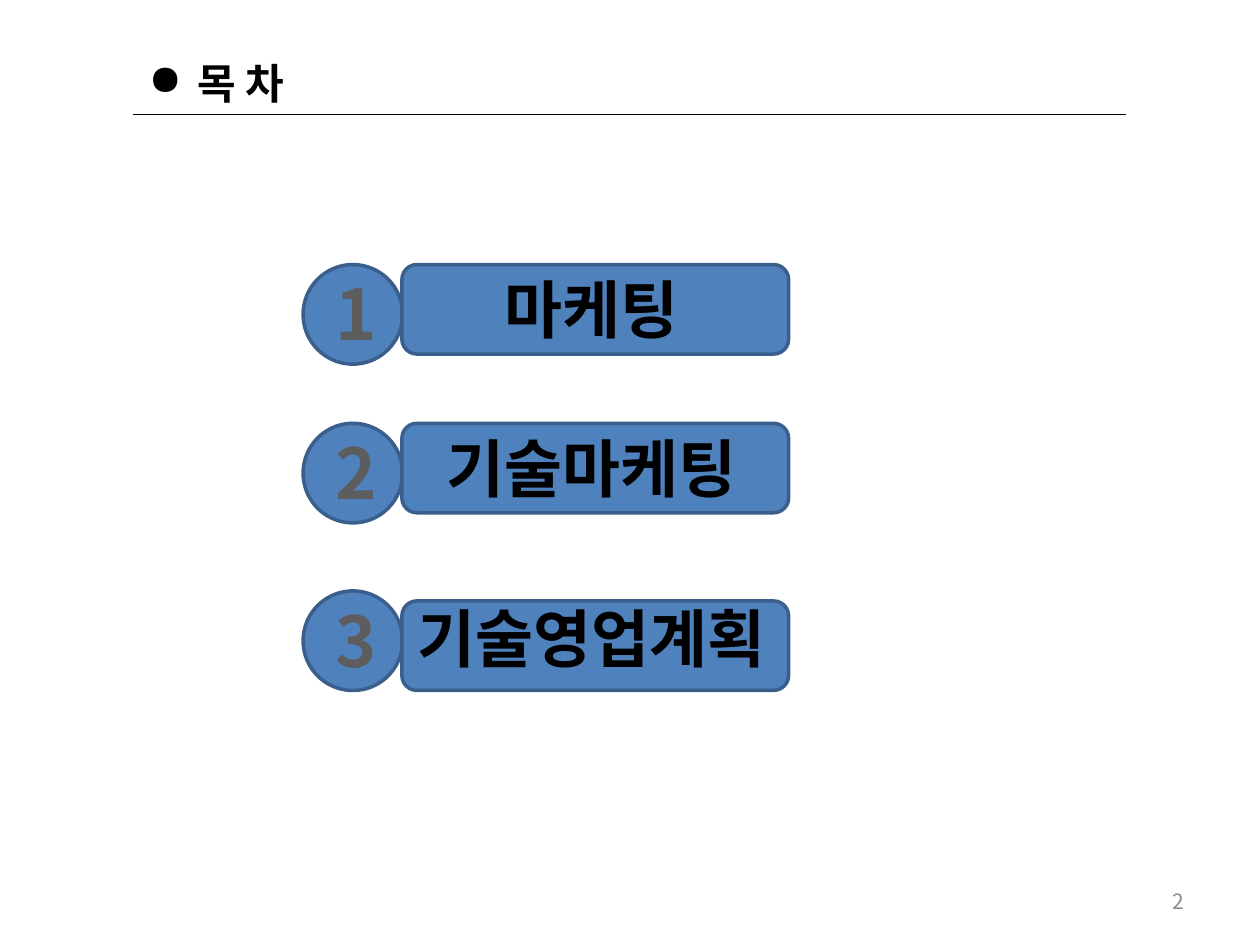
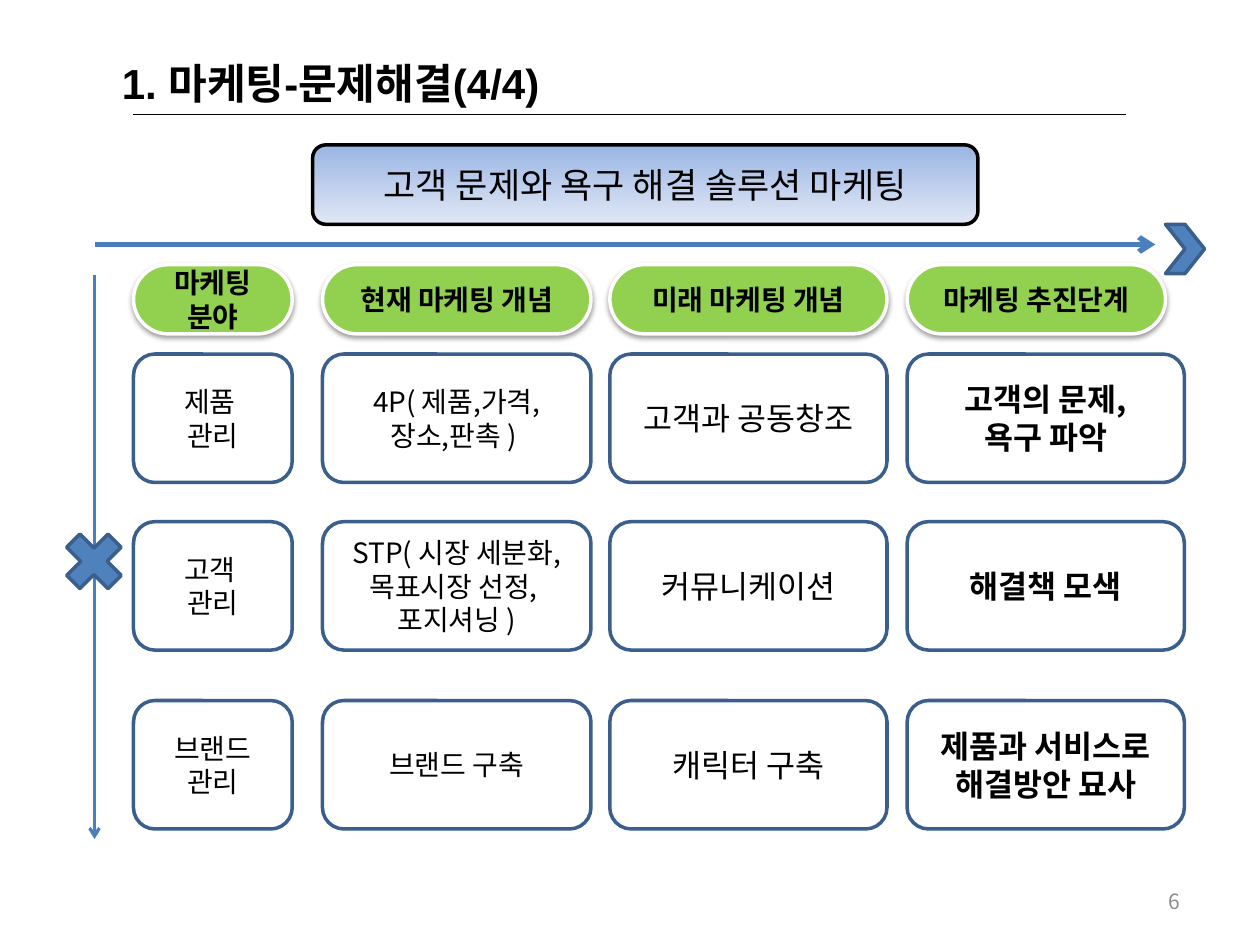
"""Build an agenda slide and a marketing problem-solving matrix slide."""
from dataclasses import dataclass

from lxml.etree import SubElement
from pptx import Presentation
from pptx.dml.color import RGBColor
from pptx.enum.shapes import MSO_CONNECTOR, MSO_SHAPE
from pptx.enum.text import MSO_ANCHOR, PP_ALIGN
from pptx.oxml.ns import qn
from pptx.util import Pt


@dataclass(frozen=True)
class Theme:
    body_font: str = "Noto Sans CJK KR"
    title_font: str = "Arial"
    black: str = "000000"
    white: str = "FFFFFF"
    blue: str = "4F81BD"
    edge: str = "3A5F8C"
    arrow: str = "4B7EBC"
    green: str = "92D050"
    numeral: str = "5D5D5D"
    page: str = "8C8C8C"
    banner: tuple = ("9AB5E4", "E1E8F5")
    page_size: int = 12
    cell_size: int = 16
    large_cell_size: int = 18
    banner_size: int = 20
    title_size: int = 24
    agenda_size: int = 36
    numeral_size: int = 40


THEME = Theme()

AGENDA_TITLE = "목 차"
AGENDA = [
    ("1", "마케팅", 151.2, 151.2, 151.2),
    ("2", "기술마케팅", 241.9, 241.9, 241.9),
    ("3", "기술영업계획", 337.7, 343.4, 339.1),
]

MATRIX_TITLE = "1. 마케팅-문제해결(4/4)"
BANNER = "고객 문제와 욕구 해결 솔루션 마케팅"
SMALL = {"size": THEME.cell_size}
LARGE = {"size": THEME.large_cell_size}
COLUMNS = [
    {"head": "마케팅 분야", "left": 76.3, "width": 90.7, "head_width": 90.7,
     "format": SMALL,
     "cells": ["제품 \n관리", "고객 \n관리", "브랜드 관리"]},
    {"head": "현재 마케팅 개념", "left": 184.3, "width": 153.4, "head_width": 153.4,
     "format": SMALL,
     "cells": ["4P( 제품,가격,\n장소,판촉 ) ",
               "STP( 시장 세분화,\n목표시장 선정, \n포지셔닝 )", "브랜드 구축"]},
    {"head": "미래 마케팅 개념", "left": 348.5, "width": 158.4, "head_width": 158.4,
     "format": LARGE,
     "cells": ["고객과 공동창조", "커뮤니케이션", "캐릭터 구축"]},
    {"head": "마케팅 추진단계", "left": 518.4, "width": 158.4, "head_width": 147.6,
     "format": LARGE | {"bold": True},
     "cells": ["고객의 문제,\n욕구 파악", "해결책 모색", "제품과 서비스로 해결방안 묘사"]},
]
ROW_TOPS = [202.3, 298.1, 400.3]


def rgb(value):
    return RGBColor.from_string(value)


def write(holder, text, *, size, color=THEME.black, bold=False, font=THEME.body_font,
          align=PP_ALIGN.CENTER, anchor=MSO_ANCHOR.MIDDLE, wrap=True):
    frame = holder.text_frame
    frame.word_wrap = wrap
    frame.vertical_anchor = anchor
    paragraph = frame.paragraphs[0]
    paragraph.text = text
    paragraph.alignment = align
    for run in paragraph.runs:
        run.font.size = Pt(size)
        run.font.bold = bold
        run.font.name = font
        run.font.color.rgb = rgb(color)
        SubElement(run.font._element, qn("a:ea"), typeface=THEME.body_font)
    return paragraph


def add_label(slide, box, text, **style):
    return write(slide.shapes.add_textbox(*map(Pt, box)), text, **style)


def add_figure(slide, kind, box, fill=None, edge=THEME.edge):
    figure = slide.shapes.add_shape(kind, *map(Pt, box))
    figure.shadow.inherit = False
    if fill:
        figure.fill.solid()
        figure.fill.fore_color.rgb = rgb(fill)
    else:
        figure.fill.background()
    figure.line.color.rgb = rgb(edge)
    figure.line.width = Pt(2)
    return figure


def add_line(slide, start, end, color, width, arrow=False):
    line = slide.shapes.add_connector(MSO_CONNECTOR.STRAIGHT, *map(Pt, start + end))
    line.line.color.rgb = rgb(color)
    line.line.width = Pt(width)
    if arrow:
        SubElement(line.line._get_or_add_ln(), qn("a:tailEnd"), type="arrow")
    SubElement(line._element.spPr, qn("a:effectLst"))


def add_soft_shadow(figure):
    effects = figure._element.spPr.find(qn("a:effectLst"))
    shadow = SubElement(effects, qn("a:outerShdw"), blurRad=str(Pt(3.1)),
                        dist=str(Pt(1.6)), dir="5400000", rotWithShape="0")
    tint = SubElement(shadow, qn("a:srgbClr"), val=THEME.black)
    SubElement(tint, qn("a:alpha"), val="38000")


def start_slide(deck, title, title_left, page, page_left):
    slide = deck.slides.add_slide(deck.slide_layouts[6])
    add_line(slide, (76.3, 65.5), (643.7, 65.5), THEME.black, 0.75)
    heading = add_label(slide, (title_left, 29.5, 500, 36), title, size=THEME.title_size,
                        bold=True, font=THEME.title_font, align=PP_ALIGN.LEFT,
                        anchor=MSO_ANCHOR.TOP)
    add_label(slide, (page_left, 500.4, 167.8, 28.8), page, size=THEME.page_size,
              color=THEME.page, align=PP_ALIGN.RIGHT)
    return slide, heading


def build_agenda(deck):
    slide, heading = start_slide(deck, AGENDA_TITLE, 77.8, "2", 516.2)
    bullet = heading._p.get_or_add_pPr()
    bullet.set("marL", str(Pt(28)))
    bullet.set("indent", str(Pt(-28)))
    SubElement(bullet, qn("a:buChar"), char="●")
    for number, topic, circle_top, bar_top, topic_top in AGENDA:
        add_figure(slide, MSO_SHAPE.OVAL, (173.2, circle_top, 56.9, 56.9), THEME.blue)
        add_figure(slide, MSO_SHAPE.ROUNDED_RECTANGLE, (229.7, bar_top, 221, 51.1), THEME.blue)
        add_label(slide, (184.7, circle_top, 38.2, 55.4), number, size=THEME.numeral_size,
                  color=THEME.numeral, bold=True, anchor=MSO_ANCHOR.TOP, wrap=False)
        width = len(topic) * THEME.agenda_size + 16
        add_label(slide, (338 - width / 2, topic_top, width, 51.1), topic,
                  size=THEME.agenda_size, bold=True, anchor=MSO_ANCHOR.TOP, wrap=False)


def build_matrix(deck):
    slide, _ = start_slide(deck, MATRIX_TITLE, 62.5, "6", 513.4)
    for column in COLUMNS:
        head = add_figure(slide, MSO_SHAPE.ROUNDED_RECTANGLE,
                          (column["left"], 151.2, column["head_width"], 39.6),
                          THEME.green, THEME.white)
        head.adjustments[0] = 0.5
        add_soft_shadow(head)
        head.text_frame.margin_top = head.text_frame.margin_bottom = 0
        write(head, column["head"], size=THEME.cell_size, bold=True)
        for top, entry in zip(ROW_TOPS, column["cells"]):
            cell = add_figure(slide, MSO_SHAPE.ROUNDED_RECTANGLE,
                              (column["left"], top, column["width"], 73.4))
            write(cell, entry, **column["format"])

    add_line(slide, (54, 157), (54, 479.5), THEME.arrow, 1.75, arrow=True)
    add_line(slide, (54, 139.7), (660.2, 139.7), THEME.arrow, 3, arrow=True)
    add_figure(slide, MSO_SHAPE.MATH_MULTIPLY, (31, 298.1, 45.4, 45.4), THEME.blue)
    add_figure(slide, MSO_SHAPE.CHEVRON, (666, 128.2, 22.3, 28.1), THEME.blue)

    banner = add_figure(slide, MSO_SHAPE.ROUNDED_RECTANGLE, (178.6, 82.8, 380.2, 45.4),
                        edge=THEME.black)
    banner.fill.gradient()
    banner.fill.gradient_angle = 270
    for stop, color in zip(banner.fill.gradient_stops, THEME.banner):
        stop.color.rgb = rgb(color)
    write(banner, BANNER, size=THEME.banner_size)


def main():
    deck = Presentation()
    deck.slide_width, deck.slide_height = Pt(720), Pt(540)
    build_agenda(deck)
    build_matrix(deck)
    deck.save("out.pptx")


if __name__ == "__main__":
    main()
